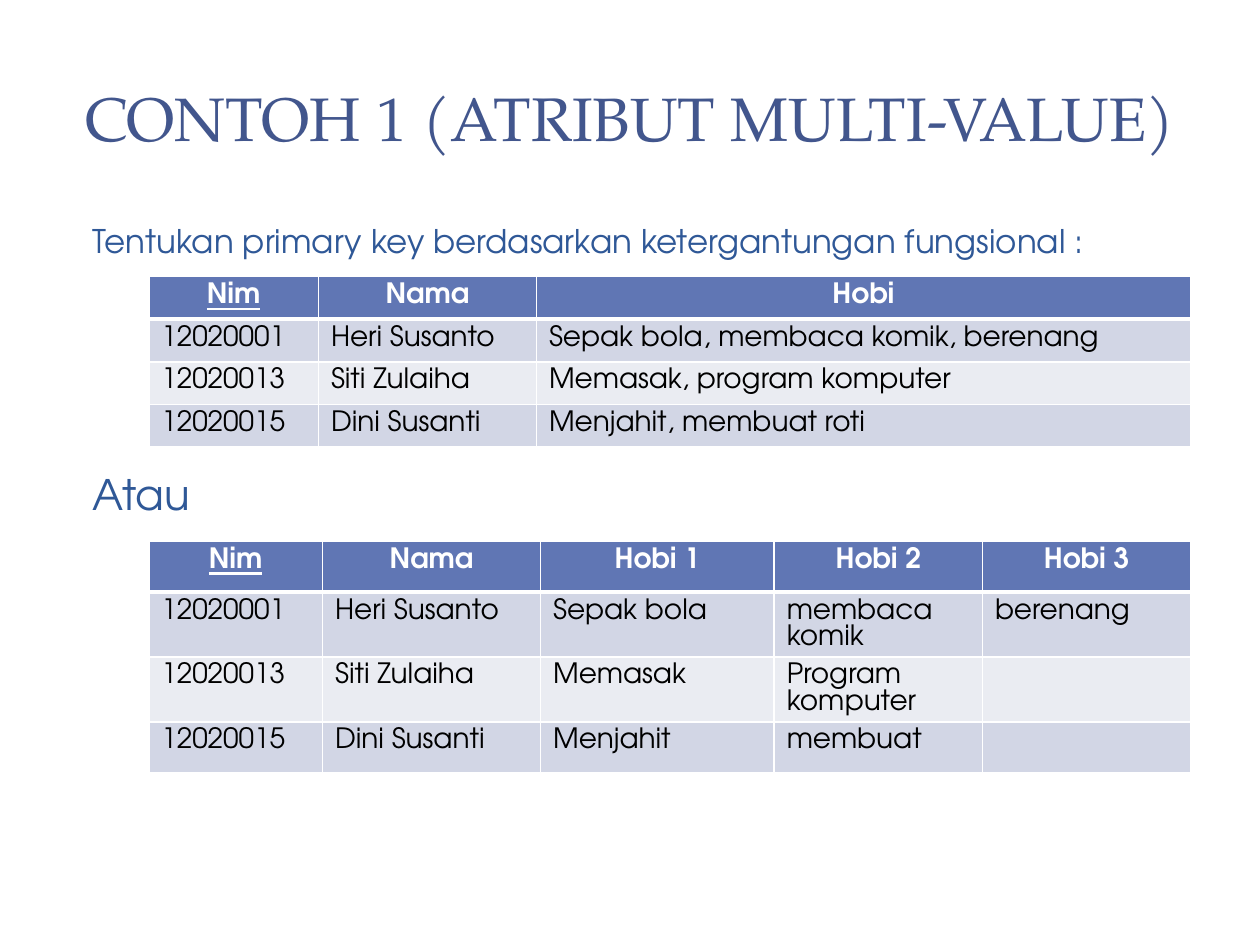
from dataclasses import dataclass

import pptx
import pptx.dml.color
import pptx.enum.shapes
import pptx.enum.text
import pptx.oxml
import pptx.oxml.ns
import pptx.util

Pt = pptx.util.Pt
Align = pptx.enum.text.PP_ALIGN
Anchor = pptx.enum.text.MSO_ANCHOR

COLORS = {
    "title": "42568D",
    "body": "2F5897",
    "header": "6076B4",
    "odd_row": "D2D6E5",
    "even_row": "EAECF2",
    "white": "FFFFFF",
    "black": "000000",
}
TITLE_FONT = "TeX Gyre Pagella"
BODY_FONT = "TeX Gyre Adventor"


@dataclass
class Panel:
    left: float
    top: float
    width: float
    height: float
    opacity: int = 100


@dataclass
class Caption:
    text: str
    left: float
    top: float
    width: float
    height: float
    size: float
    color: str = "body"
    font: str = BODY_FONT
    centered: bool = False


@dataclass
class Grid:
    top: float
    row_height: float
    columns: list[float]
    rows: list[list[str]]
    left: float = 85


TITLE_PANELS = [
    Panel(21.6, 21.6, 676.8, 104.4, 83),
    Panel(29.5, 29.5, 660.2, 87.8),
]
CAPTIONS = [
    Caption("CONTOH 1 (ATRIBUT MULTI-VALUE)", 36.2, 21.6, 648, 90, 35,
            "title", TITLE_FONT, True),
    Caption("Tentukan primary key berdasarkan ketergantungan fungsional :",
            36.8, 122.8, 635, 41.8, 18.6),
    Caption("Atau", 36.7, 264.2, 335.5, 41.8, 24),
]
GRIDS = [
    Grid(158, 24.4, [97, 124.6, 373.7], [
        ["Nim", "Nama", "Hobi"],
        ["12020001", "Heri Susanto", "Sepak bola, membaca komik, berenang"],
        ["12020013", "Siti Zulaiha", "Memasak, program komputer"],
        ["12020015", "Dini Susanti", "Menjahit, membuat roti"],
    ]),
    Grid(309.3, 29.1, [99.3, 124.6, 133.5, 119, 119], [
        ["Nim", "Nama", "Hobi 1", "Hobi 2", "Hobi 3"],
        ["12020001", "Heri Susanto", "Sepak bola", "membaca komik", "berenang"],
        ["12020013", "Siti Zulaiha", "Memasak", "Program komputer", ""],
        ["12020015", "Dini Susanti", "Menjahit", "membuat", ""],
    ]),
]


def rgb(color: str) -> pptx.dml.color.RGBColor:
    return pptx.dml.color.RGBColor.from_string(COLORS[color])


def write_text(frame, text: str, *, size: float, color: str, font: str = BODY_FONT,
               bold: bool = False, underline: bool = False, centered: bool = False,
               line_height: float | None = None, space_before: float = 0):
    paragraph = frame.paragraphs[0]
    paragraph.alignment = Align.CENTER if centered else Align.LEFT
    paragraph.space_before = Pt(space_before)
    if line_height:
        paragraph.line_spacing = Pt(line_height)
    if text:
        run = paragraph.add_run()
        run.text = text
        run.font.name = font
        run.font.size = Pt(size)
        run.font.bold = bold
        run.font.underline = underline
        run.font.color.rgb = rgb(color)
    return paragraph


def draw_panel(slide, panel: Panel) -> None:
    shape = slide.shapes.add_shape(
        pptx.enum.shapes.MSO_SHAPE.RECTANGLE, Pt(panel.left), Pt(panel.top),
        Pt(panel.width), Pt(panel.height))
    shape.shadow.inherit = False
    shape.line.fill.background()
    shape.fill.solid()
    shape.fill.fore_color.rgb = rgb("white")
    if panel.opacity < 100:
        color = shape._element.spPr.find(".//" + pptx.oxml.ns.qn("a:srgbClr"))
        color.append(pptx.oxml.parse_xml(
            f'<a:alpha {pptx.oxml.ns.nsdecls("a")} val="{panel.opacity * 1000}"/>'))


def draw_caption(slide, caption: Caption) -> None:
    box = slide.shapes.add_textbox(Pt(caption.left), Pt(caption.top),
                                   Pt(caption.width), Pt(caption.height))
    frame = box.text_frame
    frame.word_wrap = True
    frame.vertical_anchor = Anchor.MIDDLE if caption.centered else Anchor.TOP
    paragraph = write_text(frame, caption.text, size=caption.size, color=caption.color,
                           font=caption.font, centered=caption.centered,
                           space_before=0 if caption.centered else caption.size * 0.2)
    if not caption.centered:
        properties = paragraph._p.get_or_add_pPr()
        properties.set("marL", str(Pt(27)))
        properties.set("indent", str(Pt(-18)))


def set_borders(cell, bottom: float, top: float) -> None:
    properties = cell._tc.get_or_add_tcPr()
    for index, (side, width) in enumerate(
            {"lnL": 1, "lnR": 1, "lnT": top, "lnB": bottom}.items()):
        properties.insert(index, pptx.oxml.parse_xml(
            f'<a:{side} {pptx.oxml.ns.nsdecls("a")} w="{Pt(width)}"><a:solidFill>'
            f'<a:srgbClr val="{COLORS["white"]}"/></a:solidFill></a:{side}>'))


def draw_grid(slide, grid: Grid) -> None:
    table = slide.shapes.add_table(
        len(grid.rows), len(grid.columns), Pt(grid.left), Pt(grid.top),
        Pt(sum(grid.columns)), Pt(grid.row_height * len(grid.rows))).table
    for column, width in zip(table.columns, grid.columns):
        column.width = Pt(width)
    for row_index, texts in enumerate(grid.rows):
        table.rows[row_index].height = Pt(grid.row_height)
        is_header = row_index == 0
        fill = "header" if is_header else "odd_row" if row_index % 2 else "even_row"
        for column_index, text in enumerate(texts):
            cell = table.cell(row_index, column_index)
            cell.fill.solid()
            cell.fill.fore_color.rgb = rgb(fill)
            set_borders(cell, bottom=3 if is_header else 1,
                        top=3 if row_index == 1 else 1)
            write_text(cell.text_frame, text, size=16,
                       color="white" if is_header else "black", bold=is_header,
                       underline=is_header and column_index == 0,
                       centered=is_header, line_height=14.9)


def main() -> None:
    presentation = pptx.Presentation()
    presentation.slide_width = Pt(720)
    presentation.slide_height = Pt(540)
    slide = presentation.slides.add_slide(presentation.slide_layouts[6])
    for panel in TITLE_PANELS:
        draw_panel(slide, panel)
    for caption in CAPTIONS:
        draw_caption(slide, caption)
    for grid in GRIDS:
        draw_grid(slide, grid)
    presentation.save("out.pptx")


if __name__ == "__main__":
    main()
